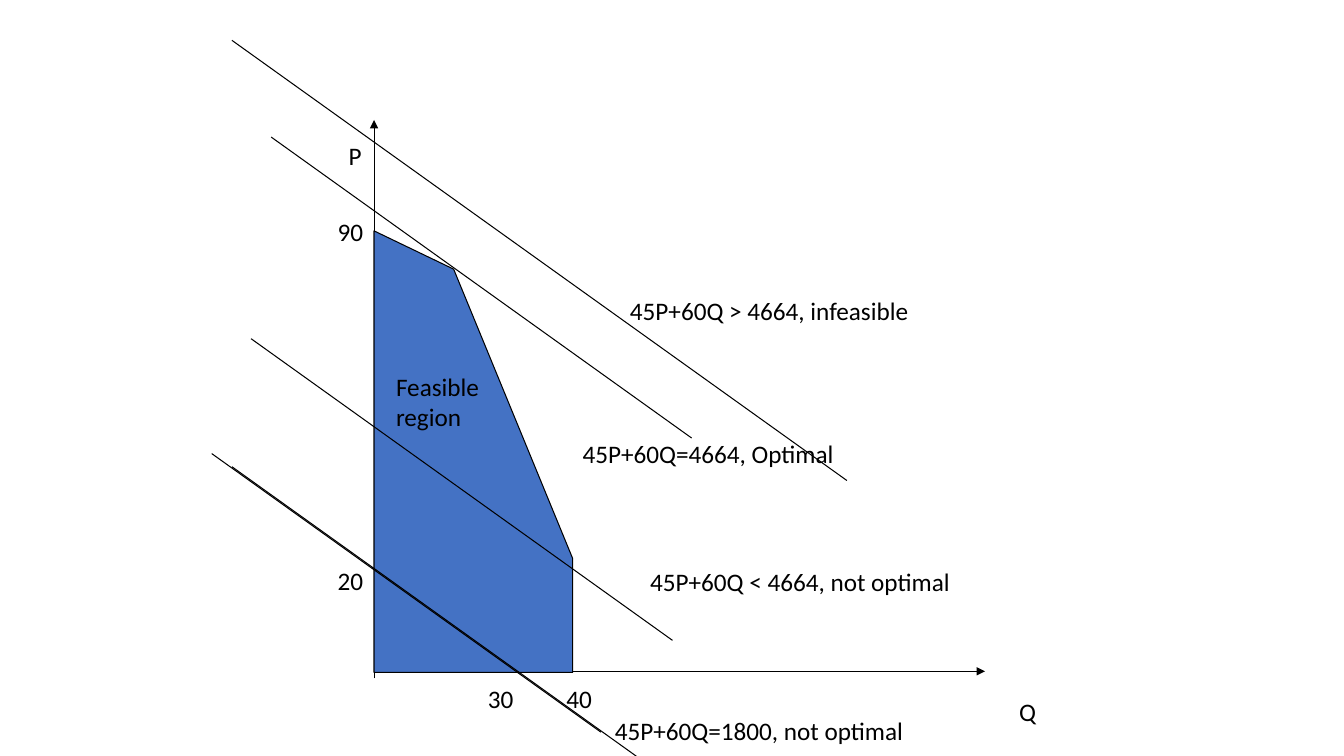
from lxml import etree
from pptx import Presentation
from pptx.dml.color import RGBColor
from pptx.enum.shapes import MSO_CONNECTOR
from pptx.oxml.ns import qn
from pptx.util import Inches, Pt

STRAIGHT = MSO_CONNECTOR.STRAIGHT
BLACK = RGBColor(0x00, 0x00, 0x00)
BLUE = RGBColor(0x44, 0x72, 0xC4)
CELL = Inches(0.1)
PLOT_BOX = (37.1, 11.9, 60.6, 54.7)
SLOPE = 0.716
AXIS_OVERSHOOT = 0.7
LABEL_FONT = {"name": "Calibri", "size": Pt(18)}

FEASIBLE_CORNERS = [(0, 11), (0, 54.8), (19.7, 54.8), (19.7, 43.5), (7.9, 14.8)]
PROFIT_LINES = [
    (-16.1, 33.1, 38.6),
    (-14.1, 34.4, 43.7),
    (-14.1, -7.9, 61),
    (-12.2, 21.7, 41.8),
    (-10.2, 1.7, 41.7),
]
LABELS = [
    ("P", -3.5, 1.5, 4.3, 4),
    ("Q", 63, 56.7, 3.9, 4),
    ("90", -4.6, 9.1, 7, 4),
    ("20", -4.6, 43.7, 7, 4),
    ("30", 10.3, 55.4, 5.9, 4),
    ("40", 18.1, 55.4, 5.9, 4),
    ("45P+60Q > 4664, infeasible", 24.4, 16.9, 40.6, 4),
    ("45P+60Q=4664, Optimal", 19.7, 31.1, 40.6, 4),
    ("45P+60Q < 4664, not optimal", 26.4, 43.8, 40.6, 4),
    ("45P+60Q=1800, not optimal", 22.9, 58.6, 40.6, 4),
    ("Feasible region", 1.2, 24.4, 15.4, 7),
]


def grid(cells):
    return round(cells * CELL)


def place(box, column, row):
    return grid(box[0] + column), grid(box[1] + row)


def outline(line):
    line.color.rgb = BLACK
    line.width = Pt(0.75)


def add_line(slide, box, start, end, arrow=False):
    stroke = slide.shapes.add_connector(
        STRAIGHT, *place(box, *start), *place(box, *end)
    )
    outline(stroke.line)
    if arrow:
        etree.SubElement(stroke.line._get_or_add_ln(), qn("a:tailEnd"), type="triangle")
    etree.SubElement(stroke._element.spPr, qn("a:effectLst"))


def add_axes(slide, box):
    width, height = box[2:]
    add_line(slide, box, (0, height + AXIS_OVERSHOOT), (0, 0), arrow=True)
    add_line(slide, box, (0, height), (width, height), arrow=True)


def add_feasible_region(slide, box):
    first, *others = [place(box, *corner) for corner in FEASIBLE_CORNERS]
    builder = slide.shapes.build_freeform(*first)
    builder.add_line_segments(others, close=True)
    region = builder.convert_to_shape()
    region.shadow.inherit = False
    region.fill.solid()
    region.fill.fore_color.rgb = BLUE
    outline(region.line)


def add_profit_lines(slide, box):
    for column, row, run in PROFIT_LINES:
        end = (column + run, row + run * SLOPE)
        add_line(slide, box, (column, row), end)


def add_labels(slide, box):
    for text, column, row, width, height in LABELS:
        label = slide.shapes.add_textbox(
            *place(box, column, row), grid(width), grid(height)
        )
        label.text_frame.word_wrap = True
        run = label.text_frame.paragraphs[0].add_run()
        run.text = text
        for attribute, value in LABEL_FONT.items():
            setattr(run.font, attribute, value)
        run.font.color.rgb = BLACK


def add_optimum_plot(slide, box):
    add_axes(slide, box)
    add_feasible_region(slide, box)
    add_profit_lines(slide, box)
    add_labels(slide, box)


def main():
    deck = Presentation()
    deck.slide_width = Inches(13.33)
    deck.slide_height = Inches(7.5)
    slide = deck.slides.add_slide(deck.slide_layouts[6])
    add_optimum_plot(slide, PLOT_BOX)
    deck.save("out.pptx")


if __name__ == "__main__":
    main()
